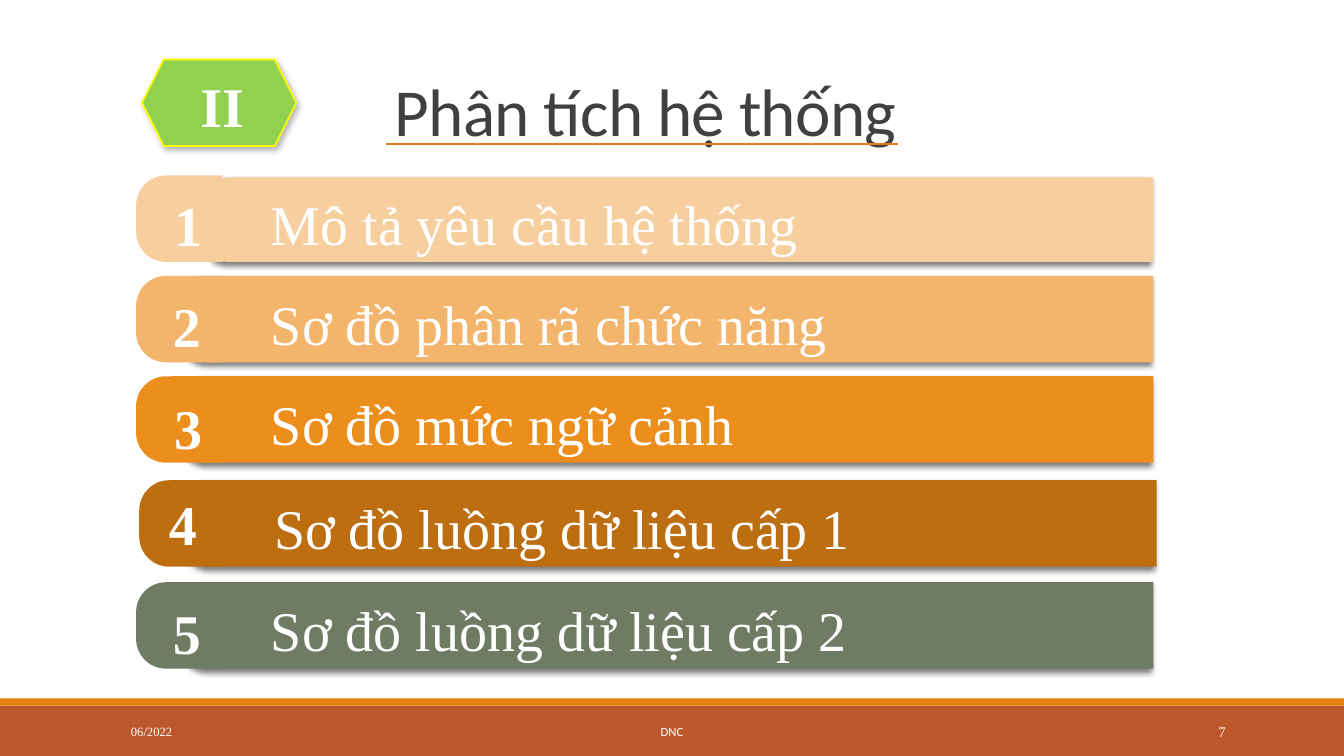
"""Build the agenda slide of the system analysis chapter."""
import dataclasses

import lxml.etree
import pptx
import pptx.dml.color
import pptx.enum.shapes
import pptx.enum.text
import pptx.oxml.ns
import pptx.util

Cm = pptx.util.Cm
Pt = pptx.util.Pt
RGBColor = pptx.dml.color.RGBColor
SHAPE = pptx.enum.shapes.MSO_SHAPE
ALIGN = pptx.enum.text.PP_ALIGN
ANCHOR = pptx.enum.text.MSO_ANCHOR
qn = pptx.oxml.ns.qn

WHITE = RGBColor(0xFF, 0xFF, 0xFF)
DARK = RGBColor(0x40, 0x40, 0x40)
ORANGE = RGBColor(0xE4, 0x83, 0x12)
RUST = RGBColor(0xBD, 0x58, 0x2C)
GREEN = RGBColor(0x92, 0xD0, 0x50)
YELLOW = RGBColor(0xFF, 0xFF, 0x00)
PEACH = RGBColor(0xF7, 0xCE, 0x9D)
APRICOT = RGBColor(0xF3, 0xB5, 0x6C)
AMBER = RGBColor(0xEC, 0x8E, 0x1C)
BROWN = RGBColor(0xBC, 0x6E, 0x10)
SAGE = RGBColor(0x6F, 0x7B, 0x63)

SERIF = "Times New Roman"
SANS = "Calibri"
ROW_HEIGHT = 2.18
BAR_RIGHT = 29.07


@dataclasses.dataclass
class Topic:
    """One agenda row, with its lengths in centimetres."""
    label: str
    color: RGBColor
    top: float
    number_left: float
    number_top: float
    shift: float = 0
    bar_left: float = 4.71
    bar_inset: float = 0
    label_width: float = 21.97


TOPICS = [
    Topic("Mô tả yêu cầu hệ thống", PEACH, 4.42, 3.66, 4.67,
          bar_left=5.24, bar_inset=0.05, label_width=16.43),
    Topic("Sơ đồ phân rã chức năng", APRICOT, 6.95, 3.63, 7.21),
    Topic("Sơ đồ mức ngữ cảnh", AMBER, 9.48, 3.66, 9.78),
    Topic("Sơ đồ luồng dữ liệu cấp 1", BROWN, 12.1, 3.53, 12.19, shift=0.08),
    Topic("Sơ đồ luồng dữ liệu cấp 2", SAGE, 14.67, 3.63, 14.96),
]


def add_shadow(shape, opacity, blur, distance, angle):
    """Give a shape an outer black shadow."""
    effects = shape._element.spPr.find(qn("a:effectLst"))
    shadow = lxml.etree.SubElement(
        effects, qn("a:outerShdw"), blurRad=str(Pt(blur)), dist=str(Pt(distance)),
        dir=str(angle * 60000), algn="ctr", rotWithShape="0")
    color = lxml.etree.SubElement(shadow, qn("a:srgbClr"), val="000000")
    lxml.etree.SubElement(color, qn("a:alpha"), val=str(opacity * 1000))


def add_block(page, kind, left, top, width, height, fill):
    """Add a filled shape without outline or shadow."""
    block = page.shapes.add_shape(kind, Cm(left), Cm(top), Cm(width), Cm(height))
    block.shadow.inherit = False
    block.fill.solid()
    block.fill.fore_color.rgb = fill
    block.line.fill.background()
    return block


def add_left_rounded(page, left, top, width, height, fill, rounding):
    """Add a bar rounded on its left side, made by a quarter turn."""
    turn = (width - height) / 2
    block = add_block(page, SHAPE.ROUND_2_SAME_RECTANGLE,
                      left + turn, top - turn, height, width, fill)
    block.rotation = 270
    block.adjustments[0] = rounding
    block.adjustments[1] = 0
    return block


def add_text(page, left, top, width, height, text, size, font=SERIF, color=WHITE,
             bold=False, align=ALIGN.LEFT, anchor=ANCHOR.MIDDLE, grow=False):
    """Add a wrapped text box holding one run and return its paragraph."""
    box = page.shapes.add_textbox(Cm(left), Cm(top), Cm(width), Cm(height))
    frame = box.text_frame
    frame.word_wrap = True
    frame.vertical_anchor = anchor
    if grow:
        frame.auto_size = pptx.enum.text.MSO_AUTO_SIZE.SHAPE_TO_FIT_TEXT
    para = frame.paragraphs[0]
    para.alignment = align
    span = para.add_run()
    span.text = text
    span.font.size = Pt(size)
    span.font.name = font
    span.font.bold = bold
    span.font.color.rgb = color
    return para


def add_number(page, left, top, text):
    """Add a bold centred number."""
    add_text(page, left, top, 2.16, 1.96, text, 40, bold=True,
             align=ALIGN.CENTER, grow=True)


def add_title(page):
    """Add the indented title."""
    para = add_text(page, 4.62, 0.74, 27.94, 3.18, "Phân tích hệ thống", 48,
                    SANS, DARK, anchor=ANCHOR.BOTTOM)
    para.line_spacing = 0.85
    para._p.get_or_add_pPr().set("marL", str(Cm(5.08)))
    para.runs[0]._r.get_or_add_rPr().set("spc", "-50")


def add_badge(page):
    """Add the chapter hexagon with its numeral."""
    badge = add_block(page, SHAPE.HEXAGON, 3.58, 1.5, 3.89, 2.18, GREEN)
    badge.line.color.rgb = YELLOW
    badge.line.width = Pt(1.25)
    add_shadow(badge, 30, 4.5, 2.6, 53)
    add_number(page, 4.52, 1.68, "II")


def add_underline(page):
    """Add the line under the title."""
    line = page.shapes.add_connector(pptx.enum.shapes.MSO_CONNECTOR.STRAIGHT,
                                     Cm(9.73), Cm(3.63), Cm(22.63), Cm(3.63))
    line.line.color.rgb = ORANGE
    line.line.width = Pt(1.5)
    lxml.etree.SubElement(line._element.spPr, qn("a:effectLst"))


def add_topic(page, number, topic):
    """Add one agenda row: bar, cap, label and number."""
    bar = add_left_rounded(
        page, topic.bar_left + topic.shift, topic.top + topic.bar_inset,
        BAR_RIGHT - topic.bar_left, ROW_HEIGHT - topic.bar_inset, topic.color, 0.233)
    add_shadow(bar, 50, 4, 3, 135)
    add_left_rounded(page, 3.43 + topic.shift, topic.top, ROW_HEIGHT, ROW_HEIGHT,
                     topic.color, 0.347)
    add_text(page, 6.58 + topic.shift, topic.top + 0.22, topic.label_width, 1.96,
             topic.label, 40, anchor=ANCHOR.TOP, grow=True)
    add_number(page, topic.number_left, topic.number_top, str(number))


def add_footer(page):
    """Add the footer bands with date, name and page number."""
    add_block(page, SHAPE.RECTANGLE, 0, 17.78, 33.87, 1.27, RUST)
    add_block(page, SHAPE.RECTANGLE, 0, 17.6, 33.87, 0.18, ORANGE)
    add_text(page, 3.05, 17.93, 6.86, 1.02, "06/2022", 9)
    add_text(page, 10.24, 17.93, 13.39, 1.02, "DNC", 9, SANS, align=ALIGN.CENTER)
    add_text(page, 27.51, 17.93, 3.63, 1.02, "7", 10.5, align=ALIGN.RIGHT)


def main():
    """Build and save the deck."""
    deck = pptx.Presentation()
    deck.slide_width = Cm(33.87)
    deck.slide_height = Cm(19.05)
    page = deck.slides.add_slide(deck.slide_layouts[6])
    add_footer(page)
    add_title(page)
    add_badge(page)
    add_underline(page)
    for number, topic in enumerate(TOPICS, 1):
        add_topic(page, number, topic)
    deck.save("out.pptx")


if __name__ == "__main__":
    main()
